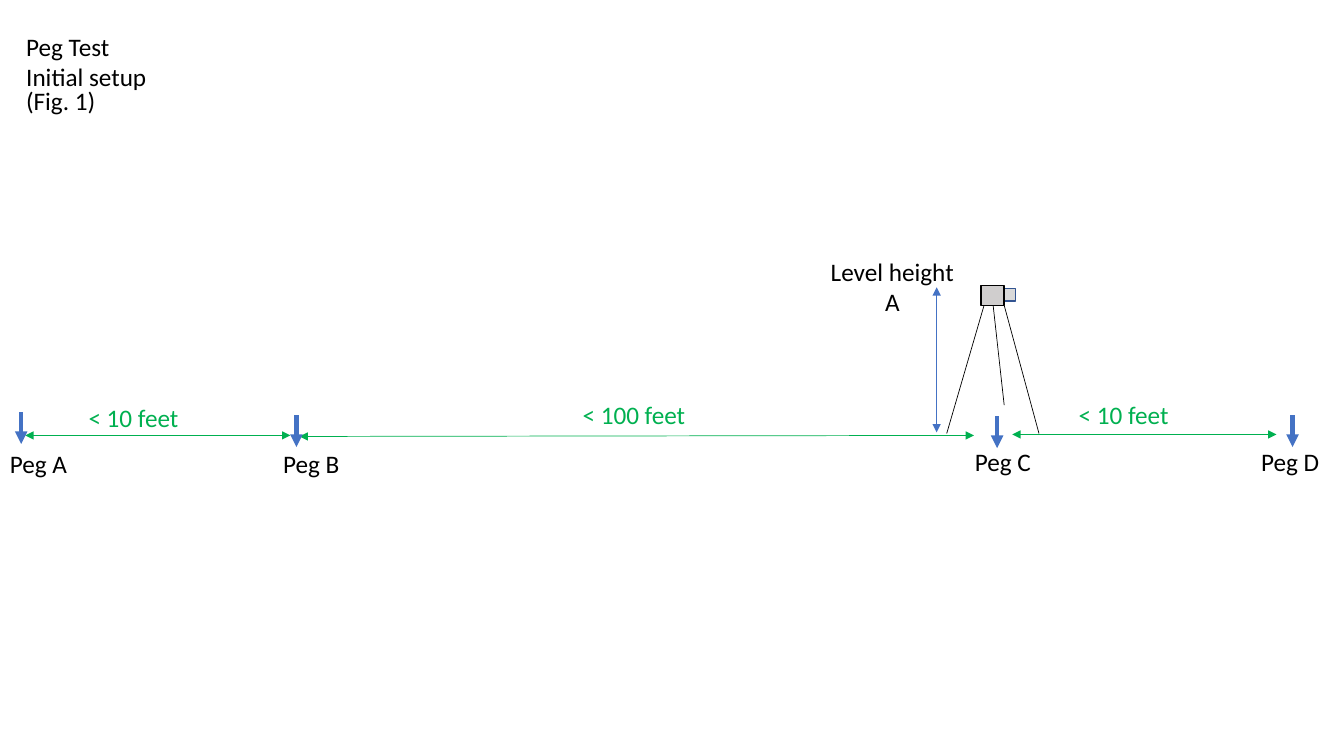
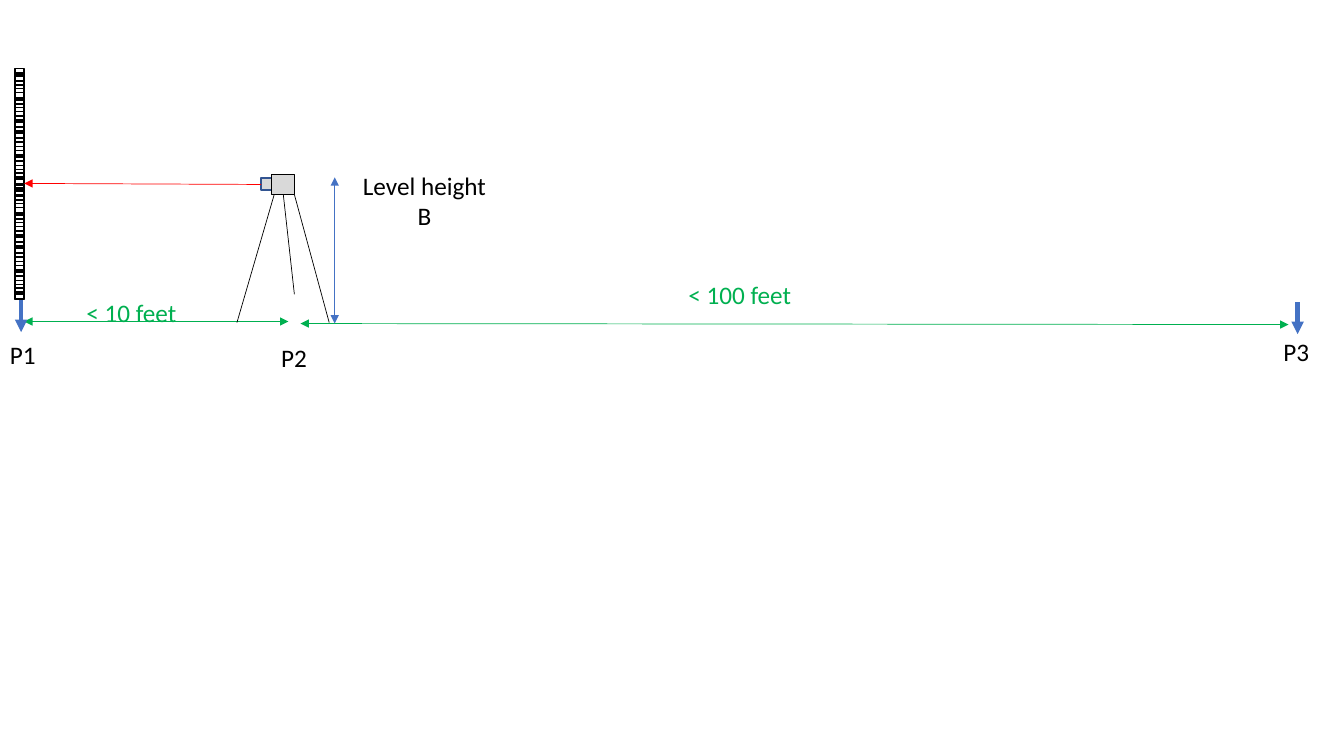
import pptx
import pptx.util
import pptx.dml.color
import pptx.enum.shapes
import pptx.enum.text
import pptx.oxml.ns
import lxml.etree

# Shared look
FONT, FONT_SIZE = "Calibri", 18
BLACK, WHITE, GREEN, BLUE, RED = "000000", "FFFFFF", "00B050", "4472C4", "FF0000"
LIGHT_GREY, MID_GREY, NAVY = "D9D9D9", "D0CECE", "325491"
THIN, THICK = 0.5, 3
LINE_HEIGHT = 4
PEG_LENGTH = 3.15

# Staff markings: (row within one block, line width)
STAFF_MARKS = [(0, 3), (0.6, 1.5), (1, 1.5), (1.4, 0.75), (1.8, 0.75), (2.4, 3),
               (2.9, 1.5), (3.3, 0.75), (3.7, 0.75), (4.1, 1.5), (4.6, 3), (5.2, 1.5)]
STAFF_BLOCKS, STAFF_BLOCK_ROWS = 4, 5.7

deck = pptx.Presentation()
deck.slide_width = pptx.util.Inches(13.33)
deck.slide_height = pptx.util.Inches(7.5)
color = pptx.dml.color.RGBColor.from_string
qn = pptx.oxml.ns.qn


# One grid column or row is a 75th of the slide's height
def grid(*counts):
    return [pptx.util.Emu(round(count * deck.slide_height / 75)) for count in counts]


def draw_line(page, ends, hex_color, width, arrows=()):
    link = page.shapes.add_connector(pptx.enum.shapes.MSO_CONNECTOR.STRAIGHT, *grid(*ends))
    link.line.width = pptx.util.Pt(width)
    link.line.color.rgb = color(hex_color)
    outline = link.element.spPr.find(qn("a:ln"))
    for arrow in arrows:
        lxml.etree.SubElement(outline, qn("a:" + arrow), type="triangle")
    lxml.etree.SubElement(link.element.spPr, qn("a:effectLst"))


BOTH_ENDS, FAR_END = ("headEnd", "tailEnd"), ("tailEnd",)

# Each setup: positions in grid columns and rows; labels are (text, left, top, width, color)
setups = [
    dict(
        title="Peg Test\nInitial setup",
        staff=None,
        sight=None,
        level=(97.3, 28.3), eyepiece=2.3, body_fill=MID_GREY,
        height_arrow=(92.9, 28.5, 92.9, 42.9),
        height_label=("Level height\nA", 81.3, 24.9, 14.4),
        distances=[(2.5, 43.2, 28.8, 43.2), (29.7, 43.3, 96.6, 43.2), (100.4, 43.1, 126.6, 43.1)],
        pegs=[(2.1, 40.9), (29.4, 41.2), (98.9, 41.3), (128.2, 41.2)],
        labels=[("(Fig. 1)", 1.6, 8, 9.5, BLACK),
                ("Peg A", 0, 44, 8.3, BLACK), ("Peg B", 27.1, 44, 8.3, BLACK),
                ("Peg C", 95.7, 43.8, 8.3, BLACK), ("Peg D", 124.1, 43.8, 8.3, BLACK),
                ("< 10 feet", 7.8, 39.4, 12, GREEN), ("< 100 feet", 56.8, 39.1, 13, GREEN),
                ("< 10 feet", 106, 39.1, 12, GREEN)],
    ),
    dict(
        title=None,
        staff=(1.5, 6.8, 0.9, 22.9),
        sight=(25.9, 18.3, 2.4, 18.2),
        level=(26.9, 17.3), eyepiece=-1, body_fill=LIGHT_GREY,
        height_arrow=(33.2, 17.6, 33.2, 32.1),
        height_label=("Level height\nB", 34.9, 16.4, 14.4),
        distances=[(2.4, 31.9, 28.6, 31.9), (29.8, 32.1, 127.8, 32.2)],
        pegs=[(2.1, 29.8), (128.7, 30)],
        labels=[("P1", 0, 33.2, 6, BLACK), ("P2", 26.9, 33.5, 6, BLACK),
                ("P3", 126.3, 32.9, 6, BLACK),
                ("< 10 feet", 7.6, 29, 12, GREEN), ("< 100 feet", 67.3, 27.2, 13, GREEN)],
    ),
]

for setup in setups:
    page = deck.slides.add_slide(deck.slide_layouts[5 if setup["title"] else 6])

    # Distances between pegs
    for ends in setup["distances"]:
        draw_line(page, ends, GREEN, THIN, BOTH_ENDS)

    # Level and staff outlines: (left, top, width, height), fill, line
    left, top = setup["level"]
    boxes = [((left + setup["eyepiece"], top + 0.35, 1.1, 1.2), LIGHT_GREY, NAVY),
             ((left, top, 2.3, 2), setup["body_fill"], BLACK)]
    if setup["staff"]:
        boxes.append((setup["staff"], WHITE, BLACK))
    for place, fill, line in boxes:
        box = page.shapes.add_shape(pptx.enum.shapes.MSO_SHAPE.RECTANGLE, *grid(*place))
        box.shadow.inherit = False
        box.fill.solid()
        box.fill.fore_color.rgb = color(fill)
        box.line.color.rgb = color(line)
        box.line.width = pptx.util.Pt(1)

    # Tripod legs: columns at top and foot, row of the foot
    for hip, foot, foot_row in [(0.3, -3.4, 14.7), (2.3, 5.75, 14.7), (1.2, 2.3, 11.9)]:
        draw_line(page, (left + hip, top + 2, left + foot, top + foot_row), BLACK, THIN)

    # Staff markings
    if setup["staff"]:
        staff_left, staff_top, staff_width, _ = setup["staff"]
        for block in range(STAFF_BLOCKS):
            for offset, width in STAFF_MARKS:
                row = staff_top + 0.6 + block * STAFF_BLOCK_ROWS + offset
                draw_line(page, (staff_left, row, staff_left + staff_width, row), BLACK, width)

    # Line of sight, level height and pegs
    if setup["sight"]:
        draw_line(page, setup["sight"], RED, THIN, FAR_END)
    draw_line(page, setup["height_arrow"], BLUE, THIN, BOTH_ENDS)
    for column, row in setup["pegs"]:
        draw_line(page, (column, row, column, row + PEG_LENGTH), BLUE, THICK, FAR_END)

    # Text: title placeholder, level height and labels
    texts = []
    if setup["title"]:
        title = page.shapes.title
        title.left, title.top, title.width, title.height = grid(1.6, 2.6, 18, 7.1)
        texts.append((title, setup["title"], BLACK, pptx.enum.text.PP_ALIGN.LEFT))
    for words, column, row, columns, ink in [(*setup["height_label"], BLACK), *setup["labels"]]:
        rows = LINE_HEIGHT + 3.1 * words.count("\n")
        label = page.shapes.add_textbox(*grid(column, row, columns, rows))
        centred = words == setup["height_label"][0]
        align = pptx.enum.text.PP_ALIGN.CENTER if centred else pptx.enum.text.PP_ALIGN.LEFT
        texts.append((label, words, ink, align))
    for holder, words, ink, align in texts:
        frame = holder.text_frame
        frame.text = words
        frame.word_wrap = True
        frame.auto_size = pptx.enum.text.MSO_AUTO_SIZE.NONE
        frame.vertical_anchor = pptx.enum.text.MSO_ANCHOR.TOP
        for para in frame.paragraphs:
            para.alignment = align
            para.font.name = FONT
            para.font.size = pptx.util.Pt(FONT_SIZE)
            para.font.color.rgb = color(ink)

deck.save("out.pptx")
